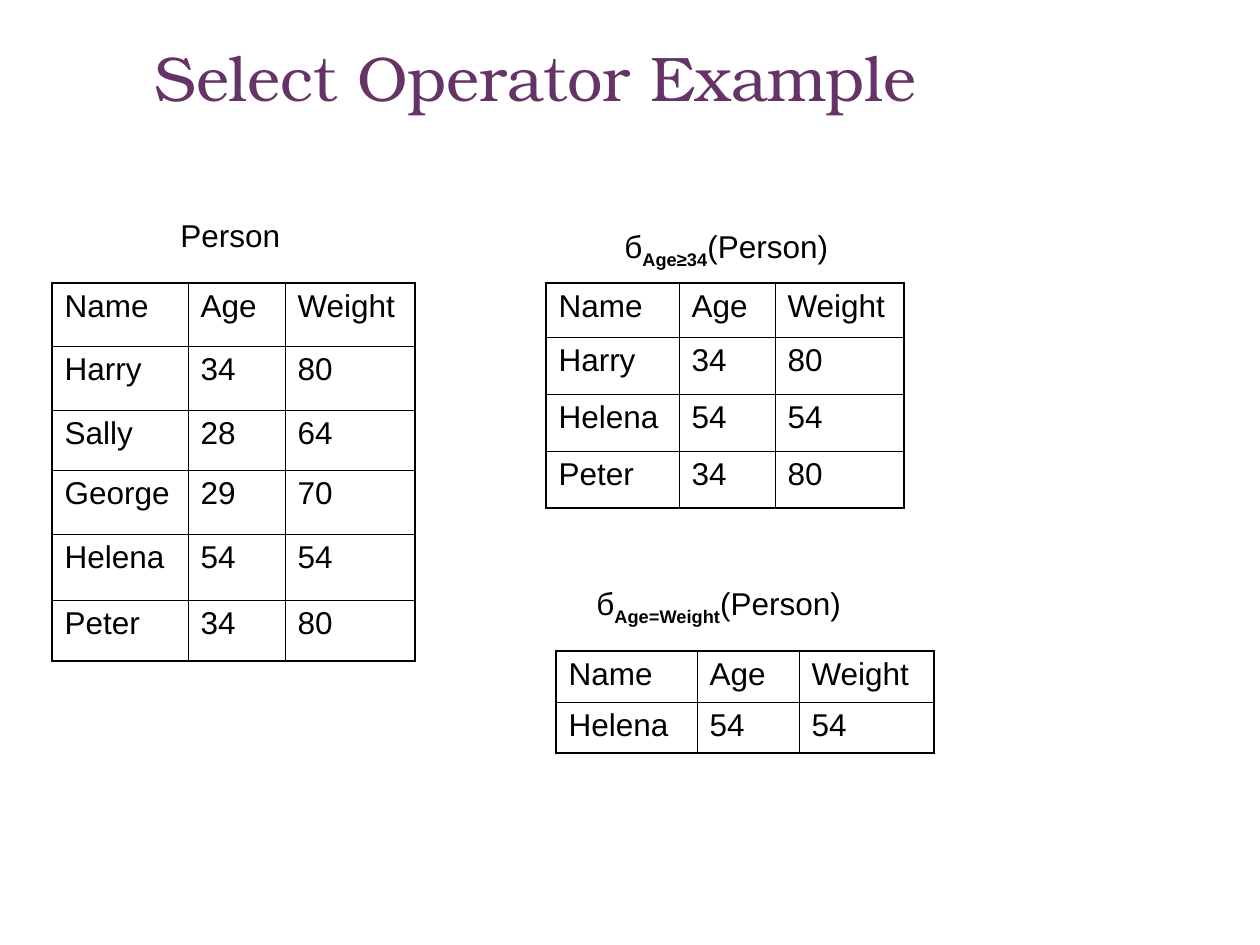
from lxml.etree import SubElement
from pptx import Presentation
from pptx.dml.color import RGBColor
from pptx.enum.text import MSO_ANCHOR, MSO_AUTO_SIZE, PP_ALIGN
from pptx.oxml.ns import qn
from pptx.util import Pt

PX = 914400 // 126
COLORS = {"title": "663366", "ink": "000000"}
THIN, THICK = 0.45, 1.08
HEADER = ("Name", "Age", "Weight")

TITLE = "Select Operator Example "
TITLE_BOX = (30, 32, 1031, 157)

# Each caption: box, then the text before, in and after the subscript
CAPTIONS = [
    ((168, 210, 126, 50), ("Person", "", "")),
    ((612, 221, 232, 55), ("б", "Age≥34", "(Person)")),
    ((584, 578, 274, 55), ("б", "Age=Weight", "(Person)")),
]

TABLES = [
    {"left": 52, "top": 283, "columns": (136, 97, 130), "heights": (63, 64, 60, 64, 66, 61),
     "people": [("Harry", 34, 80), ("Sally", 28, 64), ("George", 29, 70),
                ("Helena", 54, 54), ("Peter", 34, 80)]},
    {"left": 546, "top": 283, "columns": (133, 96, 129), "heights": (54, 57, 57, 57),
     "people": [("Harry", 34, 80), ("Helena", 54, 54), ("Peter", 34, 80)]},
    {"left": 556, "top": 651, "columns": (141, 102, 135), "heights": (51, 51),
     "people": [("Helena", 54, 54)]},
]


def style_run(run, size=18, font="Arial", color="ink"):
    run.font.size = Pt(size)
    run.font.name = font
    run.font.color.rgb = RGBColor.from_string(COLORS[color])


def add_text_box(slide, box):
    return slide.shapes.add_textbox(*(value * PX for value in box)).text_frame


def add_title(slide):
    frame = add_text_box(slide, TITLE_BOX)
    frame.word_wrap = True
    frame.vertical_anchor = MSO_ANCHOR.TOP
    frame.text = TITLE
    paragraph = frame.paragraphs[0]
    paragraph.alignment = PP_ALIGN.CENTER
    style_run(paragraph.runs[0], 36, "TeX Gyre Bonum", "title")


def add_caption(slide, box, parts):
    frame = add_text_box(slide, box)
    frame.word_wrap = False
    frame.auto_size = MSO_AUTO_SIZE.SHAPE_TO_FIT_TEXT
    for index, text in enumerate(parts):
        if not text:
            continue
        run = frame.paragraphs[0].add_run()
        run.text = text
        style_run(run)
        if index == 1:
            run.font.bold = True
            run._r.get_or_add_rPr().set("baseline", "-25000")


def set_borders(cell, widths):
    """Draw the cell's sides; widths maps L, R, T and B, in that order, to points."""
    properties = cell._tc.get_or_add_tcPr()
    for side, width in widths.items():
        line = SubElement(properties, qn(f"a:ln{side}"), w=str(Pt(width)))
        fill = SubElement(line, qn("a:solidFill"))
        SubElement(fill, qn("a:srgbClr"), val=COLORS["ink"])


def add_relation(slide, left, top, columns, heights, people):
    """Add a table with thin inner lines and a thick outline."""
    rows = [HEADER, *people]
    bottom, right = len(rows) - 1, len(columns) - 1
    table = slide.shapes.add_table(
        len(rows), len(columns), left * PX, top * PX,
        sum(columns) * PX, sum(heights) * PX).table
    table.first_row = table.horz_banding = False
    for column, width in zip(table.columns, columns):
        column.width = width * PX
    for row, height in zip(table.rows, heights):
        row.height = height * PX
    for r, values in enumerate(rows):
        for c, value in enumerate(values):
            cell = table.cell(r, c)
            cell.text = str(value)
            style_run(cell.text_frame.paragraphs[0].runs[0])
            outer = {"L": c == 0, "R": c == right, "T": r == 0, "B": r == bottom}
            set_borders(cell, {side: THICK if edge else THIN for side, edge in outer.items()})
            cell.fill.background()


def main():
    presentation = Presentation()
    presentation.slide_width, presentation.slide_height = 1260 * PX, 945 * PX
    slide = presentation.slides.add_slide(presentation.slide_layouts[6])
    add_title(slide)
    for relation in TABLES:
        add_relation(slide, **relation)
    for box, parts in CAPTIONS:
        add_caption(slide, box, parts)
    presentation.save("out.pptx")


if __name__ == "__main__":
    main()
